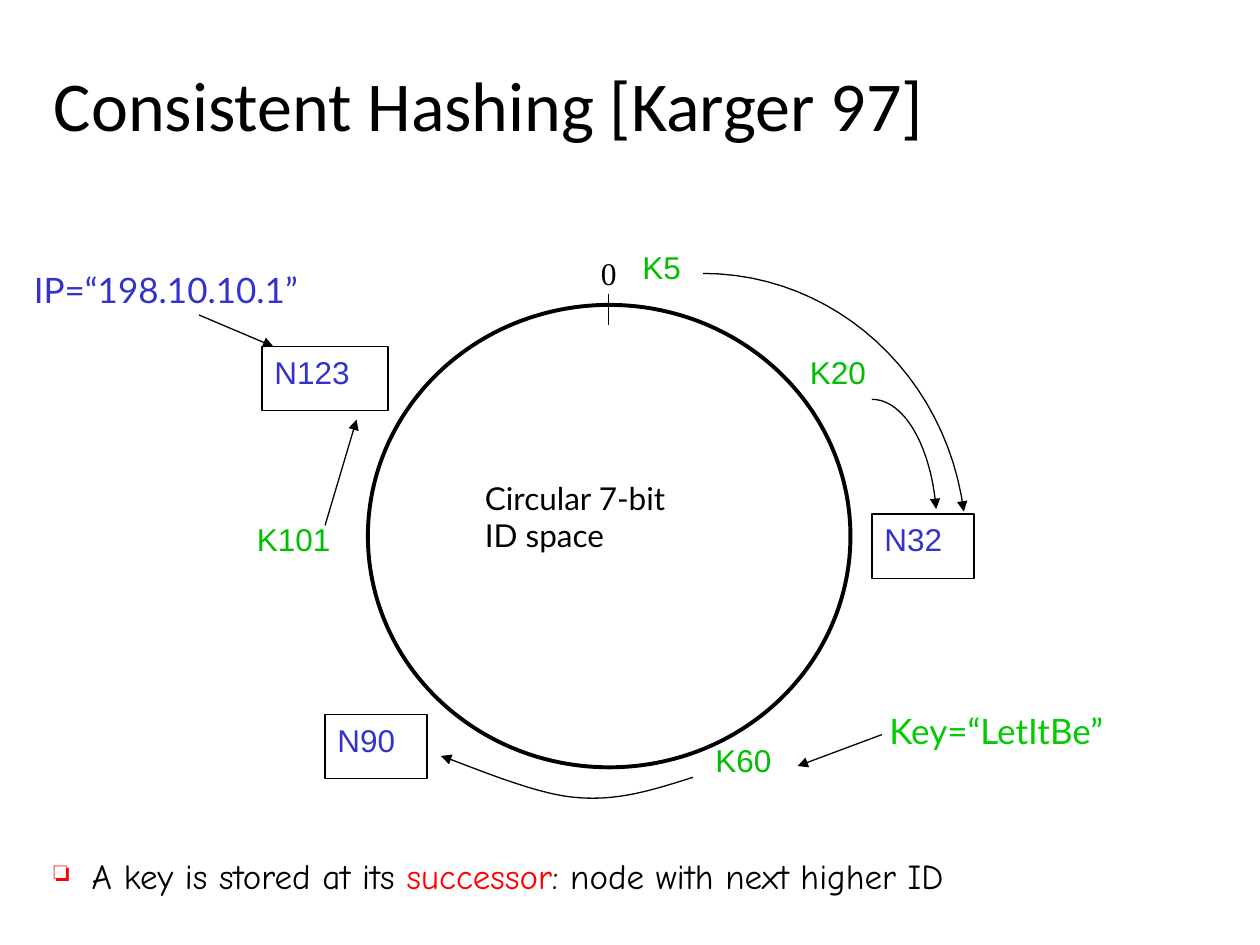
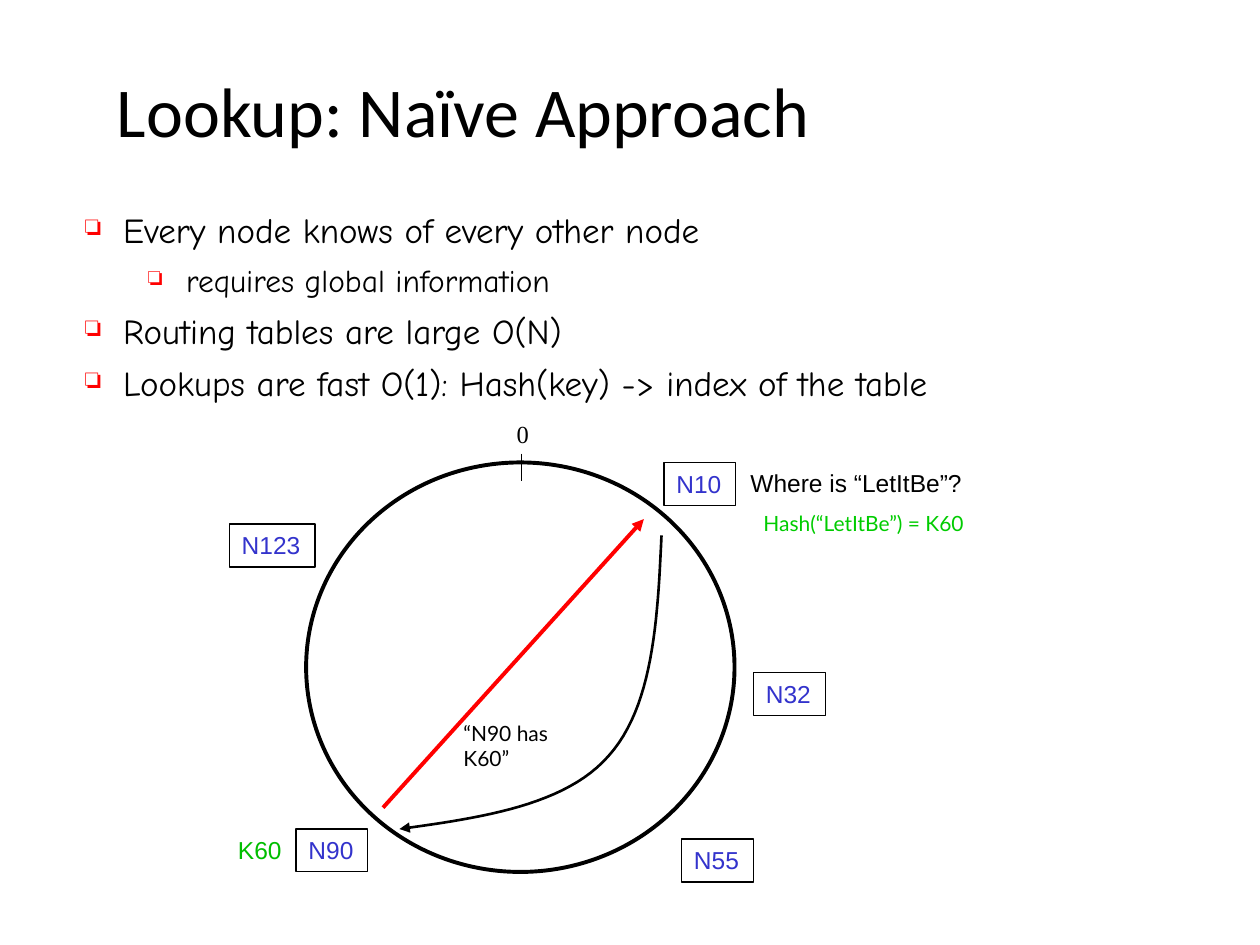
from lxml import etree
from pptx import Presentation
from pptx.dml.color import RGBColor
from pptx.enum.shapes import MSO_CONNECTOR, MSO_SHAPE
from pptx.enum.text import MSO_ANCHOR, MSO_AUTO_SIZE, PP_ALIGN
from pptx.oxml.ns import qn
from pptx.util import Inches, Pt

TOP, MIDDLE = MSO_ANCHOR.TOP, MSO_ANCHOR.MIDDLE
CENTER = PP_ALIGN.CENTER
GROW, FIXED = MSO_AUTO_SIZE.SHAPE_TO_FIT_TEXT, MSO_AUTO_SIZE.NONE
OVAL, RECT = MSO_SHAPE.OVAL, MSO_SHAPE.RECTANGLE
STRAIGHT = MSO_CONNECTOR.STRAIGHT

BLACK, RED, BLUE = "000000", "FF0000", "3333CC"
KEY_GREEN, HASH_GREEN = "00BE00", "00CC00"
TITLE, BULLET, LABEL = "Calibri", "Comic Neue", "Arial"
NOTE, ZERO = "Lato", "Times New Roman"
HANG = 0.3
CURVE_STEPS = 24


def rgb(value):
    return RGBColor.from_string(value)


def add_xml(parent, tag, **attrs):
    return etree.SubElement(parent, qn(tag), attrs)


def bezier(p0, p1, p2, p3):
    """Points along a cubic curve, without its start."""
    for i in range(1, CURVE_STEPS + 1):
        t = i / CURVE_STEPS
        u = 1 - t
        yield tuple(u**3 * a + 3 * u * u * t * b + 3 * u * t * t * c + t**3 * d
                    for a, b, c, d in zip(p0, p1, p2, p3))


class RingDeck:
    """Draws titles, bullets and hash-ring diagrams on the current slide."""

    def __init__(self):
        self.prs = Presentation()
        self.prs.slide_width, self.prs.slide_height = Inches(10), Inches(7.5)

    def new_slide(self, title, left, top, label_size):
        self.label_size = label_size
        self.shapes = self.prs.slides.add_slide(self.prs.slide_layouts[6]).shapes
        self.text((left, top, 8.33, 1.08), title, TITLE, 40,
                  vertical_anchor=MIDDLE, auto_size=FIXED)

    def run(self, p, text, font, size, color):
        r = p.add_run()
        r.text = text
        for name, value in {"name": font, "size": Pt(size)}.items():
            setattr(r.font, name, value)
        r.font.color.rgb = rgb(color)

    def frame(self, sp, **options):
        tf = sp.text_frame
        values = {"word_wrap": False, "auto_size": GROW, "vertical_anchor": TOP}
        for name, value in (values | options).items():
            setattr(tf, name, value)
        return tf

    def text(self, box, text, font, size, color=BLACK, align=None, **options):
        sp = self.shapes.add_textbox(*map(Inches, box))
        tf = self.frame(sp, **options)
        for i, line in enumerate(text.split("\n")):
            p = tf.add_paragraph() if i else tf.paragraphs[0]
            p.alignment = align
            self.run(p, line, font, size, color)

    def bullets(self, box, items, spacing=None):
        """Each item is (level, size, [(text, color), ...])."""
        tf = self.frame(self.shapes.add_textbox(*map(Inches, box)), word_wrap=True)
        for i, (level, size, parts) in enumerate(items):
            p = tf.add_paragraph() if i else tf.paragraphs[0]
            for name, value in {"level": level, "line_spacing": spacing,
                                "space_after": Pt(10.5)}.items():
                setattr(p, name, value)
            pPr = p._p.get_or_add_pPr()
            pPr.set("marL", str(Inches(0.5 * level + HANG)))
            pPr.set("indent", str(-Inches(HANG)))
            add_xml(add_xml(pPr, "a:buClr"), "a:srgbClr", val=RED)
            add_xml(pPr, "a:buSzPct", val="80000")
            add_xml(pPr, "a:buChar", char="❏")
            for text, color in parts:
                self.run(p, text, BULLET, size, color)

    def outline(self, sp, width, color=BLACK, arrow=False):
        sp.line.color.rgb = rgb(color)
        sp.line.width = Pt(width)
        if arrow:
            add_xml(sp.line._get_or_add_ln(), "a:tailEnd", type="triangle")

    def shape(self, kind, box, width):
        sp = self.shapes.add_shape(kind, *map(Inches, box))
        sp.shadow.inherit = False
        sp.fill.background()
        self.outline(sp, width)
        return sp

    def ring(self, *box):
        self.shape(OVAL, box, 2.25)

    def node(self, label, left, top, height, per_char):
        """A boxed node name, as wide as its characters need."""
        sp = self.shape(RECT, (left, top, 0.24 + per_char * len(label), height), 0.75)
        p = self.frame(sp).paragraphs[0]
        p.alignment = PP_ALIGN.LEFT
        self.run(p, label, LABEL, self.label_size, BLUE)

    def key(self, label, *box):
        self.text(box, label, LABEL, self.label_size, KEY_GREEN)

    def line(self, start, end, width=0.75, color=BLACK, arrow=True):
        s = self.shapes.add_connector(STRAIGHT, *map(Inches, start + end))
        add_xml(s._element.spPr, "a:effectLst")
        self.outline(s, width, color, arrow)

    def curve(self, start, *segments, width=0.75):
        """An arrow along cubic segments of (control, control, end)."""
        points, last = [], start
        for segment in segments:
            points += bezier(last, *segment)
            last = segment[-1]
        builder = self.shapes.build_freeform(*map(Inches, start))
        builder.add_line_segments([tuple(map(Inches, pt)) for pt in points], close=False)
        sp = builder.convert_to_shape()
        sp.shadow.inherit = False
        sp.fill.background()
        self.outline(sp, width, arrow=True)


def consistent_hashing(s):
    s.new_slide("Consistent Hashing [Karger 97]", 0.33, 0.28, 18)
    s.bullets((0.33, 6.73, 9.17, 0.6), [
        (0, 20, [("A key is stored at its ", BLACK), ("successor", RED),
                 (": node with next higher ID", BLACK)])])
    s.ring(2.92, 2.42, 3.83, 3.67)
    for label, left, top in [("N32", 6.92, 4.08), ("N90", 2.58, 5.67),
                             ("N123", 2.08, 2.75)]:
        s.node(label, left, top, 0.51, 0.19)
    for label, left, top, width in [("K20", 6.33, 2.75, 0.8), ("K5", 5, 1.92, 0.61),
                                    ("K101", 1.94, 4.08, 0.98),
                                    ("K60", 5.58, 5.83, 0.8)]:
        s.key(label, left, top, width, 0.5)
    s.text((3.75, 3.75, 2.09, 0.9), "Circular 7-bit\nID space", NOTE, 18)
    s.text((4.67, 1.92, 0.37, 0.5), "0", ZERO, 18, vertical_anchor=MIDDLE)
    s.text((0.17, 2.08, 2.34, 0.43), "IP=“198.10.10.1”", NOTE, 20, BLUE,
           vertical_anchor=MIDDLE)
    s.text((6.96, 5.58, 1.96, 0.43), "Key=“LetItBe”", NOTE, 20, HASH_GREEN,
           vertical_anchor=MIDDLE)
    s.line((4.83, 2.33), (4.83, 2.58), arrow=False)
    for start, end in [((2.58, 4.17), (2.83, 3.33)), ((1.58, 2.5), (2.17, 2.75)),
                       ((7, 5.83), (6.33, 6.08))]:
        s.line(start, end)
    s.curve((5.58, 2.17), ((6.63, 2.17), (7.51, 2.98), (7.65, 4.06)))
    s.curve((6.92, 3.17), ((7.18, 3.17), (7.39, 3.55), (7.43, 4.04)))
    s.curve((5.5, 6.17), ((5.21, 6.26), (4.92, 6.36), (4.58, 6.33)),
            ((4.25, 6.31), (3.68, 6.06), (3.5, 6)))


def naive_lookup(s):
    s.new_slide("Lookup: Naïve Approach", 0.83, 0.33, 14)
    s.bullets((0.58, 1.67, 8.83, 1.68), [
        (level, size, [(text, BLACK)]) for level, size, text in [
            (0, 20, "Every node knows of every other node"),
            (1, 18, "requires global information"),
            (0, 20, "Routing tables are large O(N)"),
            (0, 20, "Lookups are fast O(1): Hash(key) -> index of the table")]],
        spacing=0.8)
    s.ring(2.43, 3.67, 3.4, 3.25)
    for label, left, top in [("N32", 5.98, 5.34), ("N90", 2.35, 6.58),
                             ("N123", 1.82, 4.16), ("N10", 5.27, 3.67),
                             ("N55", 5.41, 6.66)]:
        s.node(label, left, top, 0.34, 0.11)
    s.key("K60", 1.79, 6.58, 0.55, 0.33)
    s.line((4.14, 3.6), (4.14, 3.82), arrow=False)
    s.text((4, 3.28, 0.3, 0.33), "0", ZERO, 14, align=CENTER, vertical_anchor=MIDDLE)
    s.text((5.92, 4, 1.87, 0.3), "Hash(“LetItBe”) = K60", NOTE, 12, HASH_GREEN,
           align=CENTER, vertical_anchor=MIDDLE)
    s.text((5.39, 3.67, 2.81, 0.33), "Where is “LetItBe”?", LABEL, 14, align=CENTER,
           vertical_anchor=MIDDLE, word_wrap=True)
    s.text((3.58, 5.67, 1.27, 0.3), "“N90 has\nK60”", NOTE, 12)
    s.line((3.04, 6.41), (5.11, 4.12), 2.25, RED)
    s.curve((5.25, 4.25), ((5.22, 4.93), (5.18, 5.61), (4.83, 6)),
            ((4.49, 6.39), (3.83, 6.49), (3.17, 6.58)), width=1.5)


def main():
    deck = RingDeck()
    consistent_hashing(deck)
    naive_lookup(deck)
    deck.prs.save("out.pptx")


if __name__ == "__main__":
    main()
